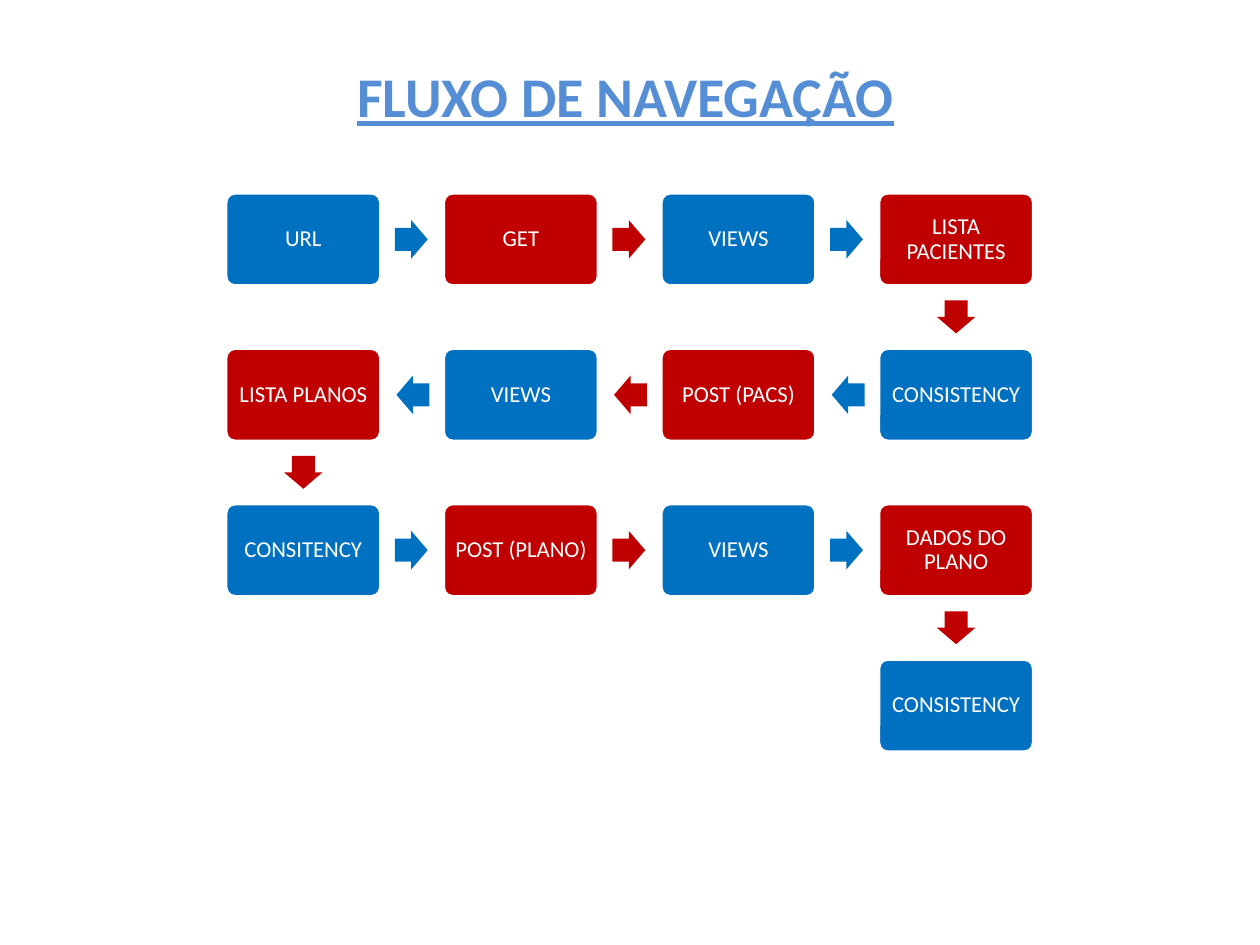
from dataclasses import dataclass
from pptx import Presentation
from pptx.dml.color import RGBColor
from pptx.enum.shapes import MSO_SHAPE as Shape
from pptx.enum.text import MSO_ANCHOR as Anchor, MSO_AUTO_SIZE as Auto, PP_ALIGN as Align
from pptx.util import Pt

BLUE, RED, WHITE, TITLE = "0070C0", "C00000", "FFFFFF", "558ED5"


def tint(hue):
    return RGBColor.from_string(hue)


def put(item, vals):
    for key, val in vals.items():
        setattr(item, key, val)


@dataclass
class Deck:
    """Draws the elements of one slide in a shared style."""
    slide: object
    font: str = "Calibri"
    inset: float = 5

    def label(self, shape, text, size, hue, frame, para, **style):
        box = shape.text_frame
        put(box, {"word_wrap": True, **frame})
        line = box.paragraphs[0]
        put(line, {"alignment": Align.CENTER, **para})
        run = line.add_run()
        run.text = text
        put(run.font, {"name": self.font, "size": Pt(size), **style})
        run.font.color.rgb = tint(hue)

    def block(self, kind, mid, size, fill, adjs):
        (x, y), (wide, high) = mid, size
        shape = self.slide.shapes.add_shape(
            kind, Pt(x - wide / 2), Pt(y - high / 2), Pt(wide), Pt(high))
        shape.shadow.inherit = False
        shape.fill.solid()
        shape.fill.fore_color.rgb = tint(fill)
        shape.line.fill.background()
        for spot, val in enumerate(adjs):
            shape.adjustments[spot] = val
        return shape

    def step(self, text, mid, fill):
        shape = self.block(Shape.ROUNDED_RECTANGLE, mid, (88.6, 53.2), fill, [0.1])
        shape.line.color.rgb = tint(WHITE)
        shape.line.width = Pt(2)
        frame = {f"margin_{side}": Pt(self.inset)
                 for side in ("left", "right", "top", "bottom")}
        frame["vertical_anchor"] = Anchor.MIDDLE
        self.label(shape, text, 13, WHITE, frame, {"line_spacing": 0.9})

    def arrow(self, mid, turn, fill):
        shape = self.block(Shape.RIGHT_ARROW, mid, (18.8, 22), fill, [0.6, 0.5])
        shape.rotation = turn

    def title(self, text, left, top, wide, high):
        shape = self.slide.shapes.add_textbox(Pt(left), Pt(top), Pt(wide), Pt(high))
        self.label(shape, text, 32, TITLE, {"auto_size": Auto.SHAPE_TO_FIT_TEXT}, {},
                   bold=True, underline=True)


STEPS = ["URL", "GET", "VIEWS", "LISTA PACIENTES",
         "CONSISTENCY", "POST (PACS)", "VIEWS", "LISTA PLANOS",
         "CONSITENCY", "POST (PLANO)", "VIEWS", "DADOS DO PLANO",
         "CONSISTENCY"]
COLS = 4
FIRST, PITCH, REACH = (173.3, 136.8), (124.35, 88.8), (61.7, 44.3)

pres = Presentation()
put(pres, {"slide_width": Pt(720), "slide_height": Pt(540)})
deck = Deck(pres.slides.add_slide(pres.slide_layouts[6]))

for num, text in enumerate(STEPS):
    row, col = divmod(num, COLS)
    back = row % 2
    place = COLS - 1 - col if back else col
    x, y = FIRST[0] + place * PITCH[0], FIRST[1] + row * PITCH[1]
    fill = RED if num % 2 else BLUE
    deck.step(text, (x, y), fill)
    if num == len(STEPS) - 1:
        break
    if col == COLS - 1:
        deck.arrow((x, y + REACH[1]), 90, fill)
    else:
        deck.arrow((x + (-REACH[0] if back else REACH[0]), y), 180 * back, fill)

deck.title("FLUXO DE NAVEGAÇÃO", 54, 31.7, 607, 46)
pres.save("out.pptx")
